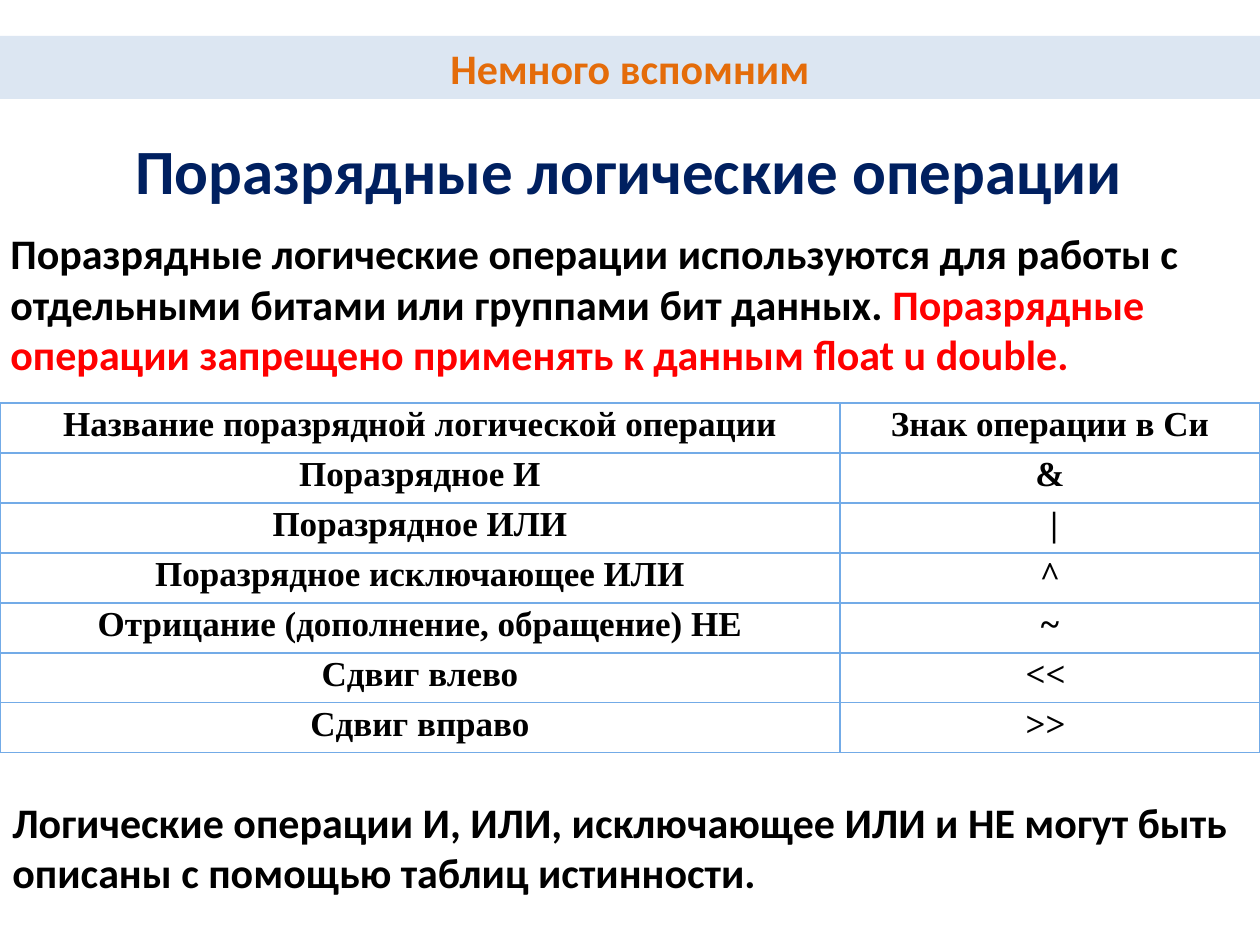
"""Build a slide about bitwise logical operations in C."""
from lxml.etree import SubElement
from pptx import Presentation
from pptx.dml.color import RGBColor
from pptx.enum.shapes import MSO_SHAPE
from pptx.enum.text import MSO_ANCHOR, PP_ALIGN
from pptx.oxml.ns import qn
from pptx.util import Emu, Pt

PIXELS_PER_INCH = 126
BLACK = RGBColor(0x00, 0x00, 0x00)
RED = RGBColor(0xFF, 0x00, 0x00)
NAVY = RGBColor(0x00, 0x20, 0x60)
ORANGE = RGBColor(0xE4, 0x6C, 0x0A)
PALE_BLUE = RGBColor(0xDC, 0xE6, 0xF2)
BORDER_BLUE = RGBColor(0x73, 0xAB, 0xE7)

OPERATIONS = [
    ("Название поразрядной логической операции", "Знак операции в Си"),
    ("Поразрядное И", "&"),
    ("Поразрядное ИЛИ", " |"),
    ("Поразрядное исключающее ИЛИ", "^"),
    ("Отрицание (дополнение, обращение) НЕ", "~"),
    ("Сдвиг влево", "<< "),
    ("Сдвиг вправо", ">> "),
]


def px(length):
    return Emu(round(length * 914400 / PIXELS_PER_INCH))


def write_paragraph(paragraph, runs, size, align=PP_ALIGN.LEFT, font="Calibri"):
    paragraph.alignment = align
    paragraph.font.name = font
    paragraph.font.size = Pt(size)
    paragraph.font.bold = True
    for text, color in runs:
        run = paragraph.add_run()
        run.text = text
        run.font.color.rgb = color


def add_text_box(slide, left, top, width, height):
    frame = slide.shapes.add_textbox(px(left), px(top), px(width), px(height)).text_frame
    frame.word_wrap = True
    return frame


def add_banner(slide, text, top, height):
    banner = slide.shapes.add_shape(MSO_SHAPE.RECTANGLE, 0, px(top), px(1260), px(height))
    banner.shadow.inherit = False
    banner.fill.solid()
    banner.fill.fore_color.rgb = PALE_BLUE
    banner.line.fill.background()
    frame = banner.text_frame
    frame.vertical_anchor = MSO_ANCHOR.TOP
    write_paragraph(frame.paragraphs[0], [(text, ORANGE)], 24, PP_ALIGN.CENTER)


def set_borders(cell):
    properties = cell._tc.get_or_add_tcPr()
    for position, side in enumerate(("a:lnL", "a:lnR", "a:lnT", "a:lnB")):
        line = SubElement(properties, qn(side), w=str(Pt(1)))
        fill = SubElement(line, qn("a:solidFill"))
        SubElement(fill, qn("a:srgbClr"), val=str(BORDER_BLUE))
        properties.insert(position, line)


def add_operations_table(slide, top, column_widths, row_height):
    table = slide.shapes.add_table(
        len(OPERATIONS), len(column_widths), 0, px(top),
        px(sum(column_widths)), px(row_height * len(OPERATIONS)),
    ).table
    table.first_row = False
    table.horz_banding = False
    for column, width in zip(table.columns, column_widths):
        column.width = px(width)
    for row, texts in zip(table.rows, OPERATIONS):
        row.height = px(row_height)
        for cell, text in zip(row.cells, texts):
            cell.margin_left = cell.margin_right = px(2)
            cell.margin_top = cell.margin_bottom = px(2)
            cell.fill.background()
            set_borders(cell)
            write_paragraph(cell.text_frame.paragraphs[0], [(text, BLACK)], 20,
                            PP_ALIGN.CENTER, "Times New Roman")


def main():
    presentation = Presentation()
    presentation.slide_width = px(1260)
    presentation.slide_height = px(945)
    slide = presentation.slides.add_slide(presentation.slide_layouts[6])

    introduction = add_text_box(slide, -2, 125, 1262, 263)
    title = introduction.paragraphs[0]
    write_paragraph(title, [("Поразрядные логические операции", NAVY)], 36, PP_ALIGN.CENTER)
    title.space_after = Pt(12)
    write_paragraph(introduction.add_paragraph(), [
        ("Поразрядные логические операции используются для работы с "
         "отдельными битами или группами бит данных. ", BLACK),
        ("Поразрядные операции запрещено применять к данным float u double.", RED),
    ], 24)

    add_operations_table(slide, 403, (840, 420), 50)
    add_banner(slide, "Немного вспомним", 36, 63)

    conclusion = add_text_box(slide, 0, 790, 1260, 115)
    write_paragraph(conclusion.paragraphs[0], [
        ("Логические операции И, ИЛИ, исключающее ИЛИ и НЕ могут быть "
         "описаны с помощью таблиц истинности.", BLACK),
    ], 24)

    presentation.save("out.pptx")


if __name__ == "__main__":
    main()
